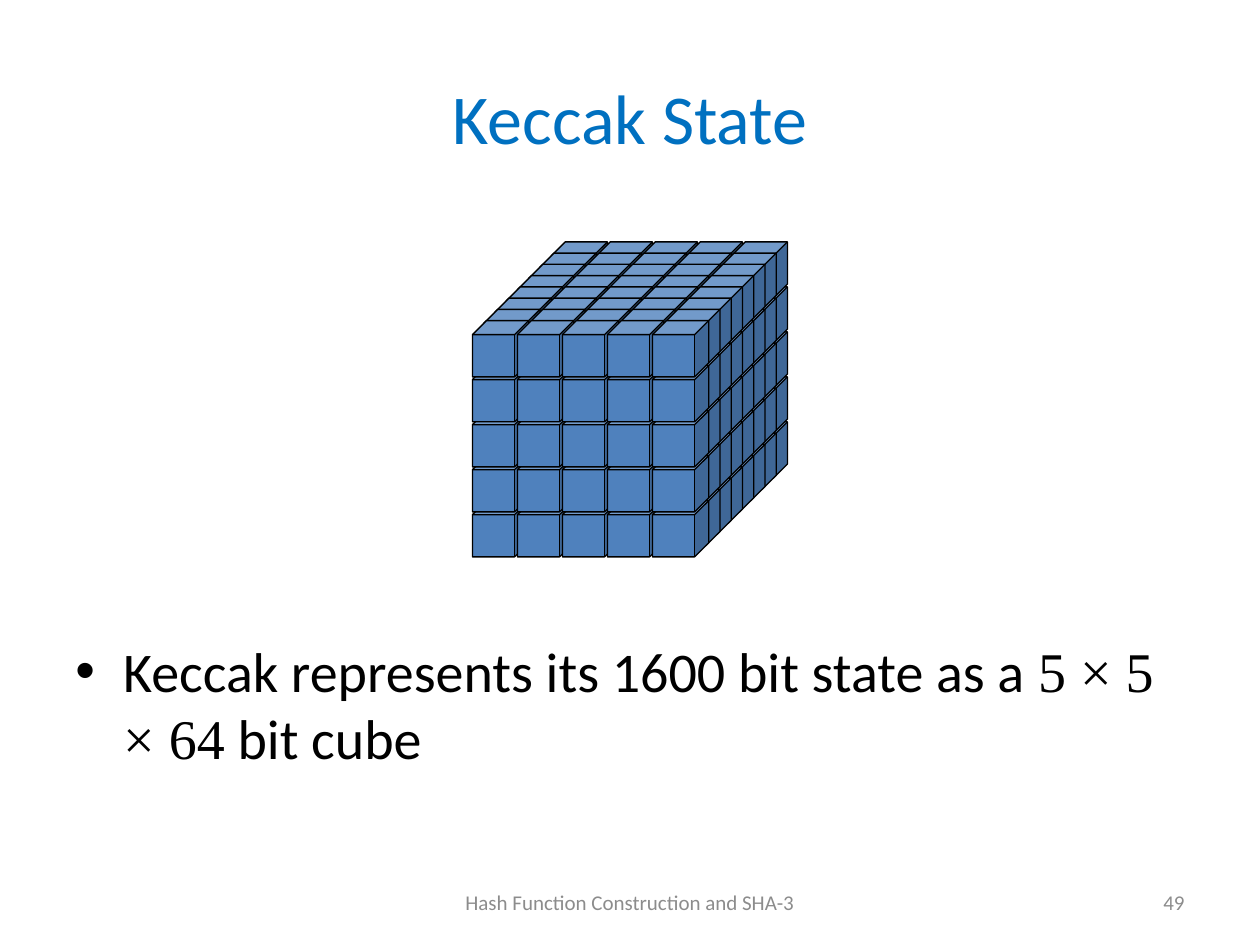
"""Build the slide that shows the Keccak state as a cube of bits."""
from dataclasses import dataclass
from itertools import product
from typing import Iterator

from lxml import etree
from pptx import Presentation
from pptx.dml.color import RGBColor
from pptx.enum import shapes, text
from pptx.oxml import ns
from pptx.util import Emu, Inches, Pt

WIDTH, HEIGHT = Inches(10), Inches(7.5)
SANS, SERIF = "Calibri", "Times New Roman"
BLACK, BLUE, GREY, CUBE_FILL = "000000", "0070C0", "8C8C8C", "4F81BD"
SIDE, LAYERS = 5, 8
SLANT = 0.25
INDENT = Inches(0.38)


@dataclass(frozen=True)
class Run:
    """A stretch of text in one font."""
    words: str
    font: str = SANS


@dataclass(frozen=True)
class Label:
    """One paragraph in a box whose edges are shares of the slide."""
    runs: tuple[Run, ...]
    left: float
    top: float
    width: float
    height: float
    size: int
    color: str
    align: text.PP_ALIGN = text.PP_ALIGN.LEFT
    anchor: text.MSO_ANCHOR = text.MSO_ANCHOR.MIDDLE
    bullet: bool = False


@dataclass(frozen=True)
class Bit:
    """A small cube placed by column, row and layer, front layer first."""
    column: int
    row: int
    layer: int


@dataclass(frozen=True)
class Grid:
    """The cube's left and top edges and the distance between its bits."""
    left: int
    top: int
    pitch: float


LABELS = (
    Label((Run("Keccak State"),), 0.05, 0.04, 0.9, 1 / 6, 40, BLUE,
          text.PP_ALIGN.CENTER),
    Label((Run("Keccak represents its 1600 bit state as a "), Run("5 × 5 × 64", SERIF),
           Run(" bit cube")), 0.05, 2 / 3, 0.9, 1 / 6, 32, BLACK,
          anchor=text.MSO_ANCHOR.TOP, bullet=True),
    Label((Run("Hash Function Construction and SHA-3"),), 0.34, 0.93, 0.32, 0.05, 12, GREY,
          text.PP_ALIGN.CENTER),
    Label((Run("49"),), 0.72, 0.93, 0.23, 0.05, 12, GREY, text.PP_ALIGN.RIGHT),
)
CUBE = Grid(Inches(3.75), Inches(1.92), Inches(2.5) / 7)


def rgb(color: str) -> RGBColor:
    """Turn a hex string into a colour."""
    return RGBColor.from_string(color)


def add_bullet(paragraph) -> None:
    """Give a paragraph a round bullet with a hanging indent."""
    paragraph.space_before = Pt(6.4)
    properties = paragraph._p.get_or_add_pPr()
    properties.set("marL", str(INDENT))
    properties.set("indent", str(-INDENT))
    font = etree.SubElement(properties, ns.qn("a:buFont"))
    font.set("typeface", "Arial")
    etree.SubElement(properties, ns.qn("a:buChar")).set("char", "•")


def add_label(slide, label: Label) -> None:
    """Draw a text box with its runs."""
    shape = slide.shapes.add_textbox(
        Emu(round(label.left * WIDTH)), Emu(round(label.top * HEIGHT)),
        Emu(round(label.width * WIDTH)), Emu(round(label.height * HEIGHT)))
    frame = shape.text_frame
    frame.word_wrap = True
    frame.vertical_anchor = label.anchor
    paragraph = frame.paragraphs[0]
    paragraph.alignment = label.align
    if label.bullet:
        add_bullet(paragraph)
    for part in label.runs:
        run = paragraph.add_run()
        run.text = part.words
        run.font.name = part.font
        run.font.size = Pt(label.size)
        run.font.color.rgb = rgb(label.color)


def visible_bits() -> Iterator[Bit]:
    """List the bits on the front, top and right faces from back to front."""
    for layer, column, row in product(
            reversed(range(LAYERS)), range(SIDE), reversed(range(SIDE))):
        if layer == 0 or row == 0 or column == SIDE - 1:
            yield Bit(column, row, layer)


def add_bit(group, grid: Grid, bit: Bit) -> None:
    """Draw one bit as a small cube."""
    size = Emu(round(grid.pitch * (1 + SLANT)))
    across = bit.column + bit.layer * SLANT
    down = bit.row + (LAYERS - 1 - bit.layer) * SLANT
    shape = group.shapes.add_shape(
        shapes.MSO_SHAPE.CUBE, Emu(round(grid.left + across * grid.pitch)),
        Emu(round(grid.top + down * grid.pitch)), size, size)
    shape.adjustments[0] = SLANT
    shape.shadow.inherit = False
    shape.fill.solid()
    shape.fill.fore_color.rgb = rgb(CUBE_FILL)
    shape.line.color.rgb = rgb(BLACK)
    shape.line.width = Pt(0.75)


def main() -> None:
    """Build and save the slide."""
    presentation = Presentation()
    presentation.slide_width, presentation.slide_height = WIDTH, HEIGHT
    slide = presentation.slides.add_slide(presentation.slide_layouts[6])
    for label in LABELS:
        add_label(slide, label)
    group = slide.shapes.add_group_shape()
    for bit in visible_bits():
        add_bit(group, CUBE, bit)
    presentation.save("out.pptx")


if __name__ == "__main__":
    main()
